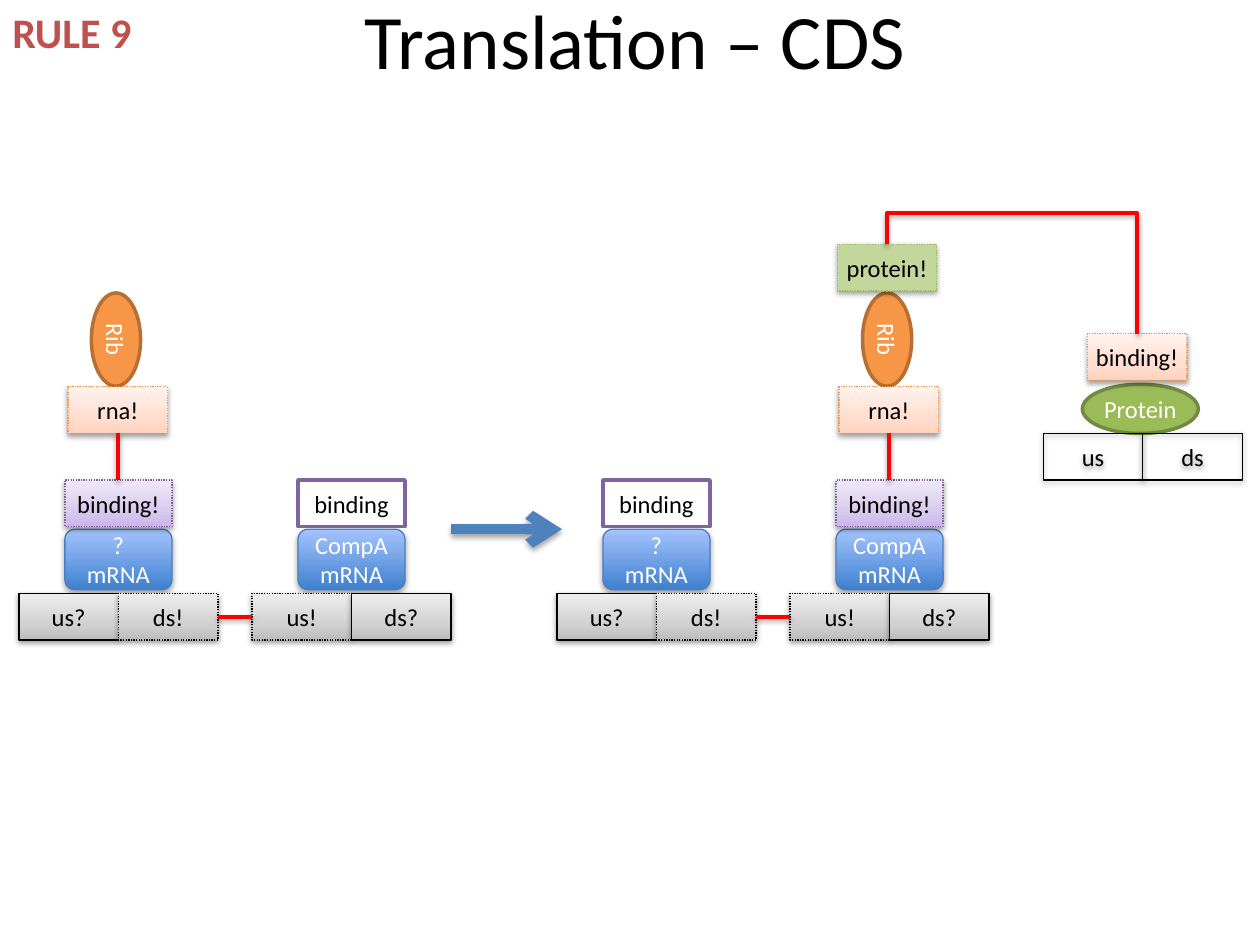
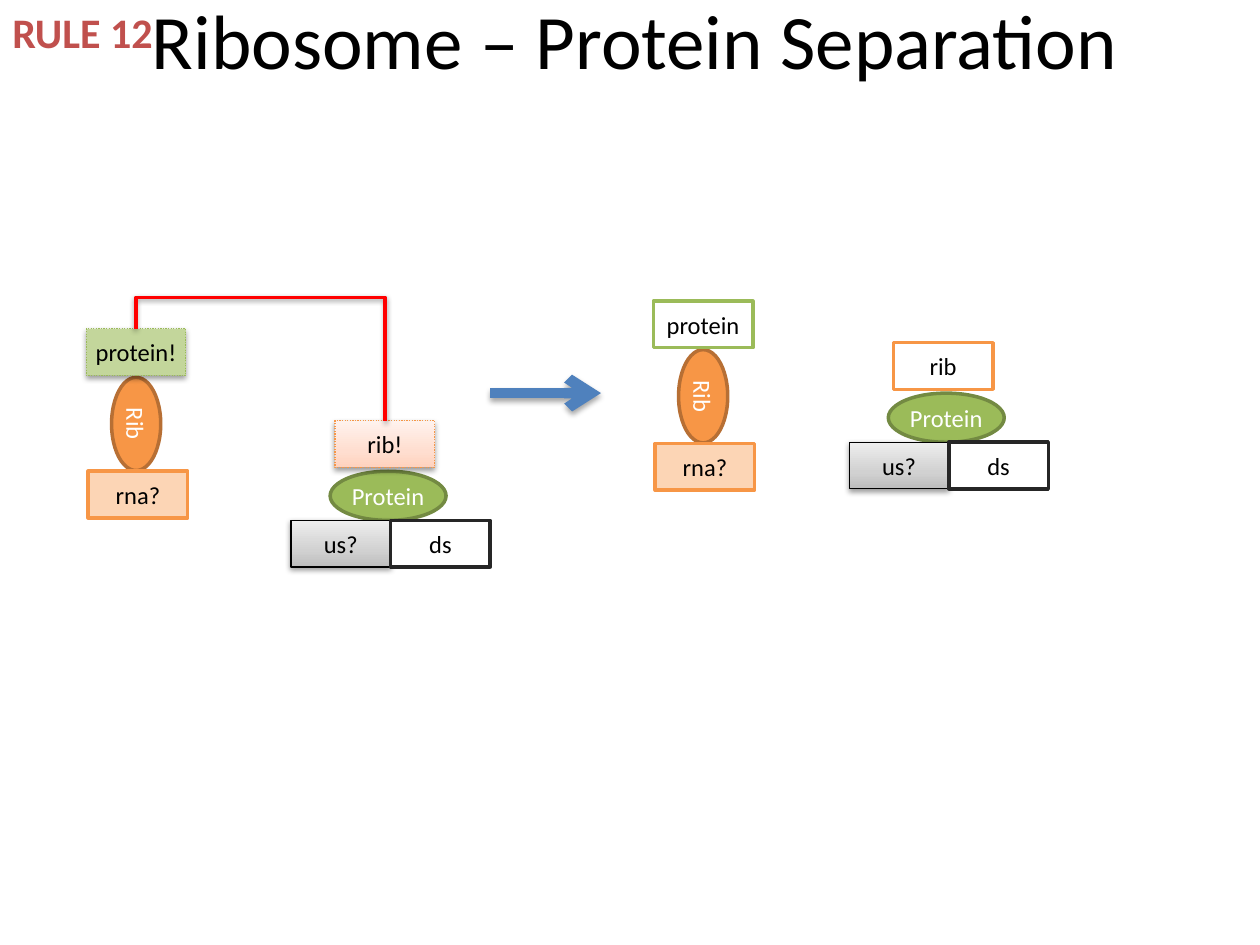
import lxml.etree
import pptx
import pptx.dml.color
import pptx.enum.dml
import pptx.enum.shapes
import pptx.enum.text
import pptx.oxml.ns
import pptx.util

Inches = pptx.util.Inches
Pt = pptx.util.Pt
qn = pptx.oxml.ns.qn
PRESET = pptx.enum.shapes.MSO_SHAPE
LINK = pptx.enum.shapes.MSO_CONNECTOR

COLORS = {
    "black": "000000", "white": "FFFFFF", "charcoal": "262626", "rule": "C0504D",
    "red": "FF0000", "arrow": "4F81BD", "mrna": "4B7EBC", "purple": "8064A2",
    "orange": "F79646", "dark orange": "B76F34", "pale orange": "FCD5B5",
    "green": "9BBB59", "dark green": "738A42", "pale green": "C3D69B",
}
# Gradient stops run from the bottom of the shape to its top.
GRADIENTS = {
    "grey": [(0, "BDBDBD"), (35, "D1D1D1"), (100, "EEEEEE")],
    "peach": [(0, "FFD2BD"), (35, "FFDED0"), (100, "FFF2ED")],
    "lilac": [(0, "C9B5E8"), (35, "D8CBEE"), (100, "F0EAF9")],
    "blue": [(0, "3F80CE"), (100, "A4C4FF")],
}
# Shadow: opacity in percent, distance in EMU
SOFT, DEEP = (38, 20000), (35, 23000)

# Look: fill, line colour, line width, dotted, shadow
LOOKS = {
    "end": ("grey", "black", 0.75, False, SOFT),
    "bound end": ("grey", "black", 0.75, True, SOFT),
    "clear end": (None, "black", 0.75, False, SOFT),
    "free end": ("white", "charcoal", 2, False, None),
    "bound site": ("lilac", "purple", 0.75, True, SOFT),
    "free site": ("white", "purple", 2, False, None),
    "bound rna": ("peach", "orange", 0.75, True, SOFT),
    "any rna": ("pale orange", "orange", 2, False, None),
    "free rib": ("white", "orange", 2, False, None),
    "bound protein": ("pale green", "green", 0.75, True, SOFT),
    "free protein": ("white", "green", 2, False, None),
    "mRNA": ("blue", "mrna", 0.75, False, DEEP),
    "Rib": ("orange", "dark orange", 2, False, None),
    "Protein": ("green", "dark green", 2, False, None),
}

BOX_W, BOX_H = 0.79, 0.37
MRNA_W, MRNA_H = 0.85, 0.48
GENE_Y = 4.71
ELBOW_RISE = 0.25

BOUND, FREE = ("binding!", "bound site"), ("binding", "free site")
RNA_BOUND, RNA_ANY = ("rna!", "bound rna"), ("rna?", "any rna")
PROTEIN_BOUND = ("protein!", "bound protein")
US_ANY, DS_FREE = ("us?", "end"), ("ds", "free end")
UPSTREAM = [US_ANY, ("ds!", "bound end")]
DOWNSTREAM = [("us!", "bound end"), ("ds?", "end")]

# genes: seam x, name, ends, binding site
# ribosomes: centre x, top of rna box, rna tag, protein tag
# proteins: seam x, top of ends, tag, ends
# tethers: (protein index, ribosome index)
SLIDES = [
    {
        "title": "Translation – CDS",
        "rule": ("RULE 9", 1.16),
        "arrow": (3.58, 4.2),
        "genes": [(0.94, "?", UPSTREAM, BOUND), (2.79, "CompA", DOWNSTREAM, FREE),
                  (5.21, "?", UPSTREAM, FREE), (7.06, "CompA", DOWNSTREAM, BOUND)],
        "gene links": [(0, 1), (2, 3)],
        "ribosomes": [(0.92, 3.07, RNA_BOUND, None),
                      (7.04, 3.07, RNA_BOUND, PROTEIN_BOUND)],
        "rna links": [0, 1],
        "proteins": [(9.07, 3.44, ("binding!", "bound rna"),
                      [("us", "clear end"), ("ds", "clear end")])],
        "tethers": [(0, 1)],
    },
    {
        "title": "Ribosome – Protein Separation",
        "rule": ("RULE 12", 1.33),
        "arrow": (3.89, 3.12),
        "genes": [],
        "gene links": [],
        "ribosomes": [(1.08, 3.74, RNA_ANY, PROTEIN_BOUND),
                      (5.58, 3.52, RNA_ANY, ("protein", "free protein"))],
        "rna links": [],
        "proteins": [(3.1, 4.13, ("rib!", "bound rna"), [US_ANY, DS_FREE]),
                     (7.53, 3.51, ("rib", "free rib"), [US_ANY, DS_FREE])],
        "tethers": [(0, 0)],
    },
]


def rgb(name):
    return pptx.dml.color.RGBColor.from_string(COLORS[name])


def add_xml(parent, tag, **attributes):
    return lxml.etree.SubElement(parent, qn(tag), attributes)


def write(paragraph, text, size, color, bold=False):
    run = paragraph.add_run()
    run.text = text
    run.font.size = Pt(size)
    run.font.name = "Calibri"
    run.font.bold = bold
    run.font.color.rgb = rgb(color)


def cast_shadow(drawn, shadow):
    """Replace the theme's effect; call it once the line is set."""
    effects = add_xml(drawn._element.spPr, "a:effectLst")
    if shadow:
        opacity, distance = shadow
        outer = add_xml(effects, "a:outerShdw", blurRad="40000", dist=str(distance),
                        dir="5400000", rotWithShape="0")
        tint = add_xml(outer, "a:srgbClr", val=COLORS["black"])
        add_xml(tint, "a:alpha", val=str(opacity * 1000))


def paint(shape, fill):
    if fill is None:
        shape.fill.background()
    elif fill in GRADIENTS:
        shape.fill.gradient()
        shape.fill.gradient_angle = 90
        stops = shape._element.spPr.find(qn("a:gradFill")).find(qn("a:gsLst"))
        stops.clear()
        for position, color in GRADIENTS[fill]:
            stop = add_xml(stops, "a:gs", pos=str(position * 1000))
            add_xml(stop, "a:srgbClr", val=color)
    else:
        shape.fill.solid()
        shape.fill.fore_color.rgb = rgb(fill)


def add_part(slide, lines, look, center_x, top, width=BOX_W, height=BOX_H,
             preset=PRESET.RECTANGLE, ink="black", side=0.04):
    """Draw one labelled part, centred on center_x."""
    part = slide.shapes.add_shape(preset, Inches(center_x - width / 2), Inches(top),
                                  Inches(width), Inches(height))
    fill, line, weight, dotted, shadow = LOOKS[look]
    paint(part, fill)
    part.line.color.rgb = rgb(line)
    part.line.width = Pt(weight)
    if dotted:
        part.line.dash_style = pptx.enum.dml.MSO_LINE.ROUND_DOT
    cast_shadow(part, shadow)
    label = part.text_frame
    label.word_wrap = preset != PRESET.ROUNDED_RECTANGLE
    label.vertical_anchor = pptx.enum.text.MSO_ANCHOR.MIDDLE
    label.margin_left = label.margin_right = Inches(side)
    label.margin_top = label.margin_bottom = Inches(0.05)
    for index, text in enumerate(lines):
        paragraph = label.add_paragraph() if index else label.paragraphs[0]
        paragraph.alignment = pptx.enum.text.PP_ALIGN.CENTER
        write(paragraph, text, 14, ink)
    return part


def add_link(slide, start, end, color="red", weight=2, shadow=SOFT, kind=LINK.STRAIGHT):
    link = slide.shapes.add_connector(kind, *map(Inches, start + end))
    link.line.color.rgb = rgb(color)
    link.line.width = Pt(weight)
    cast_shadow(link, shadow)
    return link


def add_tether(slide, start, end):
    """Elbow that leaves start upwards, passes above end and drops onto it."""
    rise, span = start[1] - end[1], start[0] - end[0]
    left = (start[0] + end[0] - rise) / 2
    top = (start[1] + end[1] - span) / 2
    tether = add_link(slide, (left, top), (left + rise, top + span), kind=LINK.ELBOW)
    properties = tether._element.spPr
    frame = properties.find(qn("a:xfrm"))
    frame.set("rot", "16200000")
    frame.set("flipV", "1")
    geometry = properties.find(qn("a:prstGeom"))
    guides = geometry.find(qn("a:avLst"))
    if guides is None:
        guides = add_xml(geometry, "a:avLst")
    bend = round((1 + ELBOW_RISE / rise) * 100000)
    add_xml(guides, "a:gd", name="adj1", fmla=f"val {bend}")


def add_ends(slide, seam, top, ends):
    for (text, look), shift in zip(ends, (-BOX_W / 2, BOX_W / 2)):
        add_part(slide, [text], look, seam + shift, top)


def add_gene(slide, seam, name, ends, site):
    add_part(slide, [name, "mRNA"], "mRNA", seam, GENE_Y - 0.51, MRNA_W, MRNA_H,
             PRESET.ROUNDED_RECTANGLE, "white")
    add_ends(slide, seam, GENE_Y, ends)
    add_part(slide, [site[0]], site[1], seam, GENE_Y - 0.9, MRNA_W)


def add_ribosome(slide, center, rna_top, rna, protein):
    body = add_part(slide, ["Rib"], "Rib", center, rna_top - 0.57, 0.74, 0.39,
                    PRESET.OVAL, "white", 0.02)
    body.rotation = 90
    add_part(slide, [rna[0]], rna[1], center + 0.015, rna_top)
    if protein:
        add_part(slide, [protein[0]], protein[1], center, rna_top - 1.13)


def add_protein(slide, seam, top, tag, ends):
    add_part(slide, ["Protein"], "Protein", seam - 0.02, top - 0.39, 0.92, 0.39,
             PRESET.OVAL, "white", 0.02)
    add_part(slide, [tag[0]], tag[1], seam - 0.045, top - 0.79)
    add_ends(slide, seam, top, ends)


def add_heading(slide, title_text, rule):
    title = slide.shapes.title
    title.left, title.top = Inches(0.07), Inches(-0.32)
    title.width, title.height = Inches(9.94), Inches(1.25)
    title.text_frame.vertical_anchor = pptx.enum.text.MSO_ANCHOR.MIDDLE
    heading = title.text_frame.paragraphs[0]
    heading.alignment = pptx.enum.text.PP_ALIGN.CENTER
    write(heading, title_text, 44, "black")

    rule_text, rule_width = rule
    tag = slide.shapes.add_textbox(0, 0, Inches(rule_width), Inches(0.5)).text_frame
    tag.word_wrap = False
    tag.auto_size = pptx.enum.text.MSO_AUTO_SIZE.SHAPE_TO_FIT_TEXT
    write(tag.paragraphs[0], rule_text, 24, "rule", bold=True)


def add_reaction(slide, content):
    genes, ribosomes, proteins = (content[k] for k in ("genes", "ribosomes", "proteins"))
    for gene in genes:
        add_gene(slide, *gene)
    for ribosome in ribosomes:
        add_ribosome(slide, *ribosome)
    for protein in proteins:
        add_protein(slide, *protein)

    link_y = GENE_Y + BOX_H / 2
    for left, right in content["gene links"]:
        add_link(slide, (genes[left][0] + BOX_W, link_y), (genes[right][0] - BOX_W, link_y))
    for index in content["rna links"]:
        center, rna_top = ribosomes[index][:2]
        add_link(slide, (center + 0.015, rna_top + BOX_H), (center + 0.015, GENE_Y - 0.9))
    for protein, ribosome in content["tethers"]:
        seam, ends_top = proteins[protein][:2]
        center, rna_top = ribosomes[ribosome][:2]
        add_tether(slide, (seam - 0.045, ends_top - 0.79), (center, rna_top - 1.13))

    x, y = content["arrow"]
    arrow = add_link(slide, (x, y), (x + 0.88, y), "arrow", 6, DEEP)
    add_xml(arrow._element.spPr.find(qn("a:ln")), "a:tailEnd", type="arrow")


def main():
    deck = pptx.Presentation()
    deck.slide_width, deck.slide_height = Inches(10), Inches(7.5)
    for content in SLIDES:
        slide = deck.slides.add_slide(deck.slide_layouts[5])
        add_heading(slide, content["title"], content["rule"])
        add_reaction(slide, content)
    deck.save("out.pptx")


if __name__ == "__main__":
    main()
